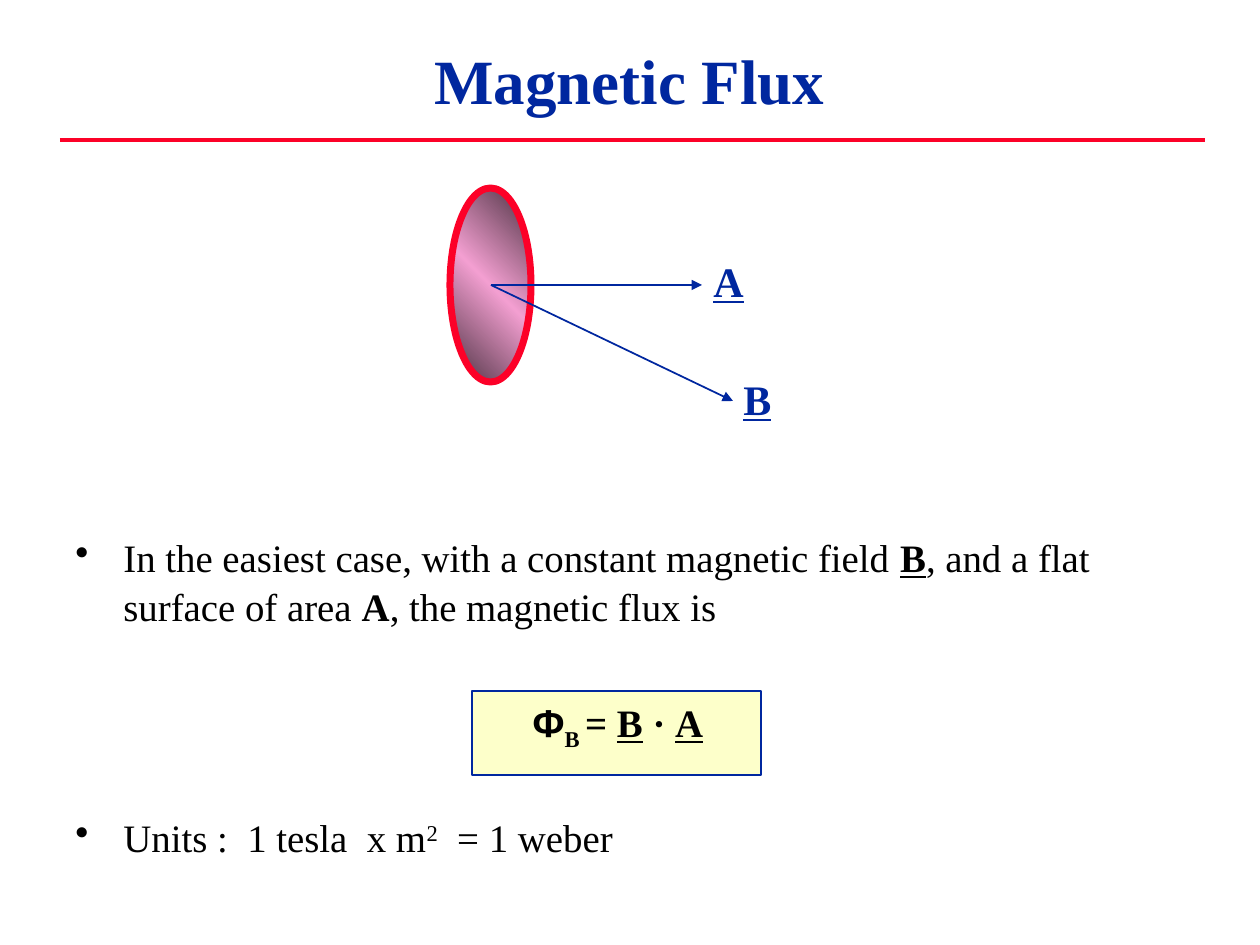
"""Build the Magnetic Flux slide with its field diagram, formula and units."""
import copy
import dataclasses
import typing

import pptx
import pptx.dml.color
import pptx.enum.dml
import pptx.enum.shapes
import pptx.enum.text
import pptx.oxml
import pptx.oxml.ns
import pptx.util

EMU_PER_PX = 914400 / 126
Align = pptx.enum.text.PP_ALIGN
Anchor = pptx.enum.text.MSO_ANCHOR


@dataclasses.dataclass(frozen=True)
class Theme:
    font: str = "Times New Roman"
    symbol_font: str = "Arial"
    navy: str = "00279F"
    red: str = "FC0128"
    black: str = "000000"
    cream: str = "FDFFCA"
    gradient: tuple[str, ...] = ("482F3E", "F39FD1", "482F3E")
    title_size: float = 36
    label_size: float = 24
    body_size: float = 22.2


THEME = Theme()


class Frame(typing.NamedTuple):
    left: int
    top: int
    width: int
    height: int


class Segment(typing.NamedTuple):
    start: tuple[int, int]
    end: tuple[int, int]
    color: str
    weight: float
    arrow: bool = False


class Label(typing.NamedTuple):
    text: str
    frame: Frame


class Run(typing.NamedTuple):
    text: str
    bold: bool = False
    underline: bool = False
    baseline: int = 0
    font: str = THEME.font


class BodyParagraph(typing.NamedTuple):
    runs: tuple[Run, ...]
    space_before: int
    line_spacing: float
    bullet: bool = True


SEGMENTS = (
    Segment((60, 140), (1205, 140), THEME.red, 2.25),
    Segment((491, 285), (702, 285), THEME.navy, 1, arrow=True),
    Segment((491, 285), (733, 401), THEME.navy, 1, arrow=True),
)
LABELS = (
    Label("A", Frame(701, 249, 55, 63)),
    Label("B", Frame(731, 367, 53, 63)),
)
BODY = (
    BodyParagraph((
        Run("In the easiest case, with a constant magnetic field "),
        Run("B", bold=True, underline=True),
        Run(", and a flat surface of area "),
        Run("A", bold=True),
        Run(", the magnetic flux is"),
    ), 0, 1.05),
    BodyParagraph((
        Run("Φ", bold=True, font=THEME.symbol_font),
        Run("B ", bold=True, baseline=-25),
        Run("= ", bold=True),
        Run("B", bold=True, underline=True),
        Run(" · ", bold=True),
        Run("A", bold=True, underline=True),
    ), 40, 0.9, bullet=False),
    BodyParagraph((
        Run("Units :  1 tesla  x m"),
        Run("2", baseline=30),
        Run("  = 1 weber"),
    ), 37, 1.05),
)


def px(length: int) -> pptx.util.Emu:
    return pptx.util.Emu(round(length * EMU_PER_PX))


def rgb(color: str) -> pptx.dml.color.RGBColor:
    return pptx.dml.color.RGBColor.from_string(color)


def child(parent, tag: str, **attributes: str):
    element = pptx.oxml.parse_xml(f"<{tag} {pptx.oxml.ns.nsdecls('a')}/>")
    for name, value in attributes.items():
        element.set(name, value)
    parent.append(element)
    return element


def add_run(paragraph, text: str, *, size: float, color: str, bold: bool = False,
            underline: bool = False, baseline: int = 0, font: str = THEME.font) -> None:
    run = paragraph.add_run()
    run.text = text
    run.font.name = font
    run.font.size = pptx.util.Pt(size)
    run.font.bold = bold
    run.font.underline = underline
    run.font.color.rgb = rgb(color)
    if baseline:
        run.font._element.set("baseline", str(baseline * 1000))


def add_text_frame(slide, frame: Frame, *, wrap: bool = True, anchor=Anchor.TOP):
    text_frame = slide.shapes.add_textbox(*map(px, frame)).text_frame
    text_frame.word_wrap = wrap
    text_frame.vertical_anchor = anchor
    return text_frame


def add_outlined(slide, kind, frame: Frame, color: str, weight: float):
    shape = slide.shapes.add_shape(kind, *map(px, frame))
    shape.shadow.inherit = False
    shape.line.color.rgb = rgb(color)
    shape.line.width = pptx.util.Pt(weight)
    return shape


def fill_gradient(shape, colors: tuple[str, ...]) -> None:
    shape.fill.gradient()
    shape.fill.gradient_angle = 45
    stop_list = shape._element.spPr.find(".//" + pptx.oxml.ns.qn("a:gsLst"))
    stop_list.append(copy.deepcopy(stop_list[0]))
    for index, (stop, color) in enumerate(zip(shape.fill.gradient_stops, colors)):
        stop.color.rgb = rgb(color)
        stop.position = index / (len(colors) - 1)


def add_segment(slide, segment: Segment) -> None:
    connector = slide.shapes.add_connector(
        pptx.enum.shapes.MSO_CONNECTOR.STRAIGHT,
        *map(px, segment.start + segment.end))
    connector.line.color.rgb = rgb(segment.color)
    connector.line.width = pptx.util.Pt(segment.weight)
    if segment.arrow:
        child(connector.line._get_or_add_ln(), "a:tailEnd", type="triangle")
    child(connector._element.spPr, "a:effectLst")


def add_body(slide, frame: Frame, paragraphs: tuple[BodyParagraph, ...]) -> None:
    text_frame = add_text_frame(slide, frame)
    for index, item in enumerate(paragraphs):
        paragraph = text_frame.add_paragraph() if index else text_frame.paragraphs[0]
        paragraph.line_spacing = item.line_spacing
        paragraph.space_before = pptx.util.Pt(item.space_before)
        if item.bullet:
            properties = paragraph._element.get_or_add_pPr()
            properties.set("marL", str(px(48)))
            properties.set("indent", str(-px(48)))
            child(child(properties, "a:buClr"), "a:srgbClr", val=THEME.black)
            child(properties, "a:buChar", char="•")
        else:
            paragraph.alignment = Align.CENTER
        for run in item.runs:
            add_run(paragraph, size=THEME.body_size, color=THEME.black, **run._asdict())


def main() -> None:
    presentation = pptx.Presentation()
    presentation.slide_width, presentation.slide_height = px(1260), px(945)
    slide = presentation.slides.add_slide(presentation.slide_layouts[6])
    kinds = pptx.enum.shapes.MSO_SHAPE
    formula_box = add_outlined(slide, kinds.RECTANGLE, Frame(472, 691, 289, 84), THEME.navy, 1)
    formula_box.fill.solid()
    formula_box.fill.fore_color.rgb = rgb(THEME.cream)
    add_body(slide, Frame(63, 525, 1110, 357), BODY)
    title = add_text_frame(slide, Frame(94, 0, 1071, 158), anchor=Anchor.MIDDLE).paragraphs[0]
    title.alignment = Align.CENTER
    add_run(title, "Magnetic Flux", size=THEME.title_size, color=THEME.navy, bold=True)
    surface = add_outlined(slide, kinds.OVAL, Frame(450, 188, 81, 194), THEME.red, 4)
    fill_gradient(surface, THEME.gradient)
    for segment in SEGMENTS:
        add_segment(slide, segment)
    for label in LABELS:
        paragraph = add_text_frame(slide, label.frame, wrap=False).paragraphs[0]
        add_run(paragraph, label.text, size=THEME.label_size, color=THEME.navy,
                bold=True, underline=True)
    presentation.save("out.pptx")


if __name__ == "__main__":
    main()
